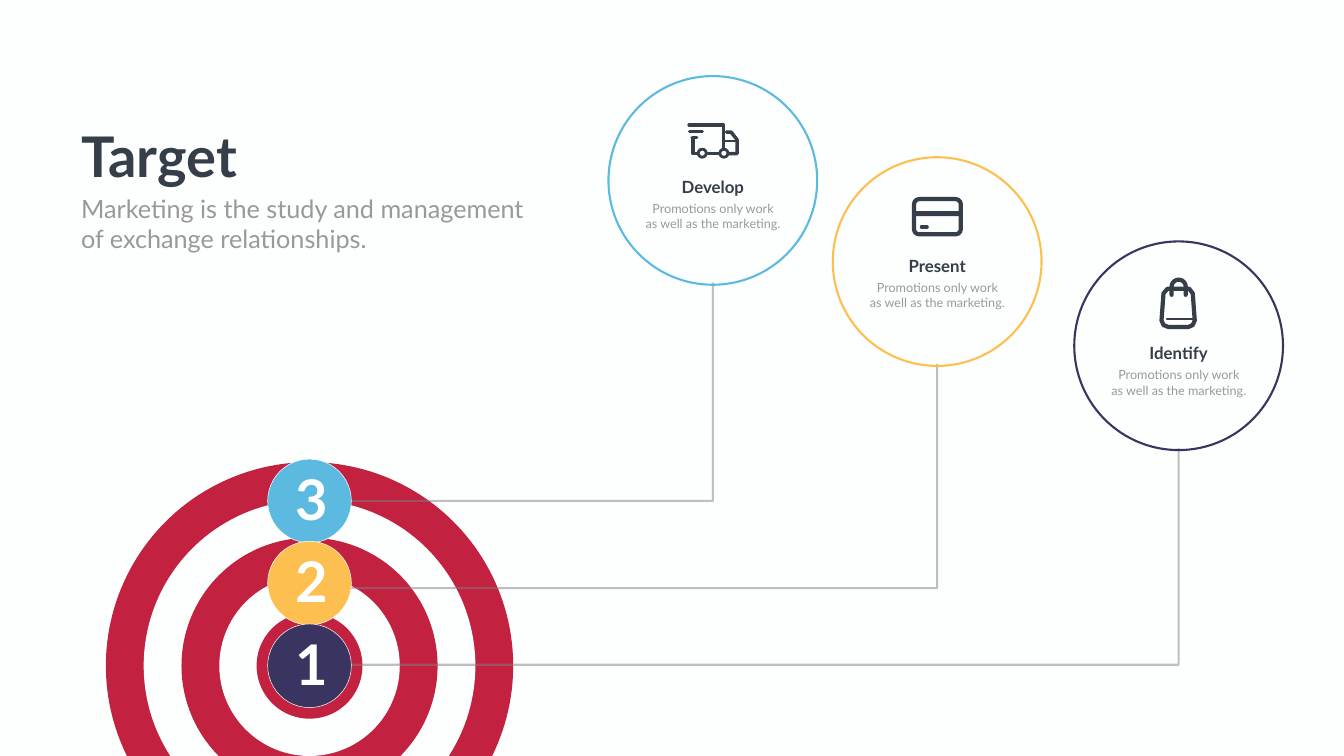
from math import asin, cos, pi, sin

from lxml import etree
from pptx import Presentation
from pptx.dml.color import RGBColor
from pptx.enum.shapes import MSO_SHAPE
from pptx.enum.text import MSO_ANCHOR, MSO_AUTO_SIZE, PP_ALIGN
from pptx.oxml.ns import qn
from pptx.util import Pt

PX = 9144  # EMU per px, 100 px to the inch
W, H = 2666, 1500
FONT = "Lato"
OVAL, RECT, ROUND = MSO_SHAPE.OVAL, MSO_SHAPE.RECTANGLE, MSO_SHAPE.ROUNDED_RECTANGLE
LEFT, CENTER = PP_ALIGN.LEFT, PP_ALIGN.CENTER
TOP, FIT = MSO_ANCHOR.TOP, MSO_AUTO_SIZE.SHAPE_TO_FIT_TEXT

PAPER = RGBColor(0xFD, 0xFF, 0xFE)
WHITE = RGBColor(0xFF, 0xFF, 0xFF)
RED = RGBColor(0xC2, 0x21, 0x40)
BLUE = RGBColor(0x5C, 0xBA, 0xE1)
YELLOW = RGBColor(0xFD, 0xBF, 0x50)
NAVY = RGBColor(0x3A, 0x35, 0x60)
INK = RGBColor(0x35, 0x3E, 0x49)
TEXT = RGBColor(0x98, 0x99, 0x98)
LEADER = RGBColor(0x80, 0x80, 0x80)


def arc(cx, cy, r, start, end, steps):
    """Points along an arc; angles in radians, clockwise from the right."""
    angles = [start + (end - start) * i / steps for i in range(steps + 1)]
    return [(cx + r * cos(a), cy + r * sin(a)) for a in angles]


class Painter:
    def __init__(self, slide):
        self.slide = slide
        self.shapes = slide.shapes

    def style(self, sp, fill=None, line=None, width=0):
        sp.shadow.inherit = False
        if fill is None:
            sp.fill.background()
        else:
            sp.fill.solid()
            sp.fill.fore_color.rgb = fill
        if line is None:
            sp.line.fill.background()
        else:
            sp.line.color.rgb = line
            sp.line.width = Pt(width)
        return sp

    def shape(self, kind, x, y, w, h, **look):
        sp = self.shapes.add_shape(kind, x * PX, y * PX, w * PX, h * PX)
        return self.style(sp, **look)

    def circle(self, cx, cy, r, **look):
        return self.shape(OVAL, cx - r, cy - r, 2 * r, 2 * r, **look)

    def outline(self, points, close=False, **look):
        emu = [(round(x * PX), round(y * PX)) for x, y in points]
        fb = self.shapes.build_freeform(*emu[0], scale=1.0)
        fb.add_line_segments(emu[1:], close=close)
        return self.style(fb.convert_to_shape(), **look)

    def stroke(self, points, width=5, close=False):
        """Icon stroke with round ends."""
        sp = self.outline(points, close, line=INK, width=width)
        ln = sp._element.spPr.find(qn("a:ln"))
        ln.set("cap", "rnd")
        etree.SubElement(ln, qn("a:round"))

    def leader(self, points):
        sp = self.outline(points, line=LEADER, width=3)
        color = sp._element.spPr.find(qn("a:ln")).find(".//" + qn("a:srgbClr"))
        etree.SubElement(color, qn("a:alpha")).set("val", "50000")

    def disc(self, cx, cy, r, color):
        """Disc cut off by the lower edge of the slide."""
        if cy + r <= H:
            self.circle(cx, cy, r, fill=color)
        else:
            cut = asin((H - cy) / r)
            self.outline(arc(cx, cy, r, cut, -pi - cut, 120), True, fill=color)

    def set_text(self, sp, lines, size, color, bold=False, align=LEFT, wrap=True):
        tf = sp.text_frame
        tf.word_wrap = wrap
        tf.auto_size = FIT
        tf.vertical_anchor = TOP
        tf.text = "\n".join(lines)
        for p in tf.paragraphs:
            p.alignment = align
            p.font.name, p.font.size, p.font.bold = FONT, Pt(size), bold
            p.font.color.rgb = color

    def text(self, x, y, w, h, *args, **kwargs):
        sp = self.shapes.add_textbox(x * PX, y * PX, w * PX, h * PX)
        self.set_text(sp, *args, **kwargs)

    def title(self, x, y, w, h, *args, **kwargs):
        sp = self.shapes.title
        sp.left, sp.top, sp.width, sp.height = x * PX, y * PX, w * PX, h * PX
        self.set_text(sp, *args, **kwargs)


def draw_truck(s):
    s.stroke([(1367, 248), (1435, 248), (1435, 296)])
    s.stroke([(1375, 275), (1375, 305), (1383, 305)])
    s.stroke([(1404, 305), (1425, 305)])
    s.stroke([(1441, 262), (1450, 262), (1462, 277), (1462, 305), (1447, 305)])
    s.stroke([(1437, 280), (1461, 280)], 4)
    s.stroke([(1368, 261), (1393, 261)])
    s.stroke([(1373, 273), (1382, 273)])
    for x in (1393, 1436):
        s.circle(x, 304, 8, line=INK, width=4)


def draw_card(s):
    sp = s.shape(ROUND, 1813, 395, 93, 70, line=INK, width=6)
    sp.adjustments[0] = 0.15
    s.shape(RECT, 1814, 419, 92, 10, fill=INK)
    s.stroke([(1828, 450), (1839, 450)])


def draw_bag(s):
    s.stroke([(2316, 573), (2359, 573), (2366, 582), (2370, 636), (2366, 645),
              (2357, 649), (2318, 649), (2308, 645), (2304, 636), (2308, 582)],
             6, close=True)
    s.stroke([(2324, 585), *arc(2338, 569, 14, -pi, 0, 16), (2352, 585)], 6)
    s.stroke([(2315, 633), (2366, 633)], 4)


def main():
    prs = Presentation()
    prs.slide_width, prs.slide_height = W * PX, H * PX
    s = Painter(prs.slides.add_slide(prs.slide_layouts[5]))
    s.slide.background.fill.solid()
    s.slide.background.fill.fore_color.rgb = PAPER

    # Heading
    s.title(151, 237, 350, 145, ["Target"], 80, INK, bold=True, wrap=False)
    s.text(151, 379, 974, 131, ["Marketing is the study and management",
                                "of exchange relationships."], 36, TEXT)

    # Target rings
    cx, cy = 614, 1321
    for i, r in enumerate((404, 329, 254, 179, 105)):
        s.disc(cx, cy, r, PAPER if i % 2 else RED)

    # Number, label, colour, callout centre, leader y, badge y, label y, icon
    steps = [
        ("3", "Develop", BLUE, 1414, 358, 994, 994, 345, draw_truck),
        ("2", "Present", YELLOW, 1859, 519, 1167, 1157, 503, draw_card),
        ("1", "Identify", NAVY, 2338, 686, 1319, 1321, 676, draw_bag),
    ]

    # Leaders run behind the callouts and badges
    for _, _, _, x, y, turn, _, _, _ in steps:
        s.leader([(x, y + 203), (x, turn), (cx, turn)])

    for number, label, color, x, y, _, badge, top, draw_icon in steps:
        # Callout
        s.circle(x, y, 207, line=color, width=3)
        draw_icon(s)
        s.text(x - 92, top, 184, 50, [label], 24, INK, bold=True, align=CENTER)
        s.text(x - 163, top + 48, 327, 71,
               ["Promotions only work", "as well as the marketing."],
               18, TEXT, align=CENTER)
        # Badge
        s.circle(cx, badge, 83, fill=color, line=WHITE)
        s.text(576, badge - 77, 85, 145, [number], 80, PAPER, bold=True, wrap=False)

    prs.save("out.pptx")


if __name__ == "__main__":
    main()
